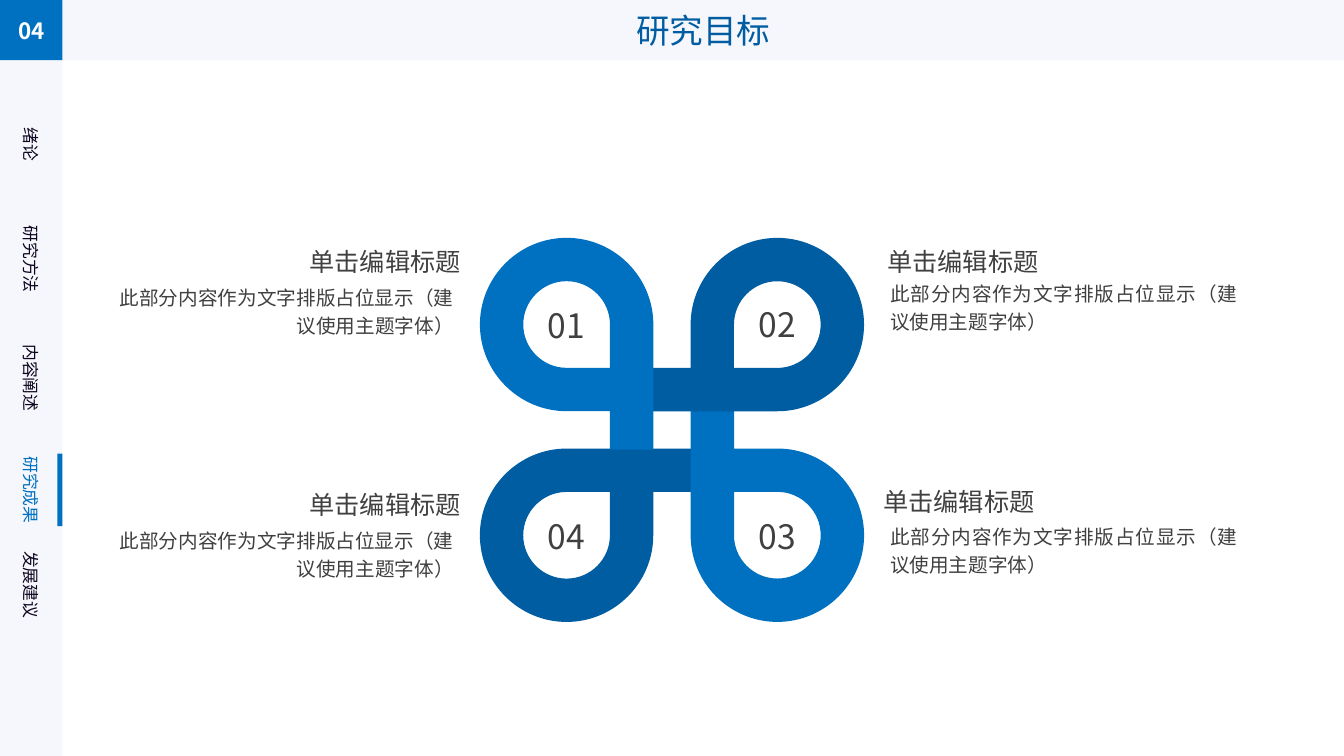
import pptx
import pptx.util
import pptx.dml.color
import pptx.enum.shapes
import pptx.enum.text
import pptx.oxml.ns
import lxml.etree

Inches = pptx.util.Inches
RGBColor = pptx.dml.color.RGBColor
Align = pptx.enum.text.PP_ALIGN
Anchor = pptx.enum.text.MSO_ANCHOR
Fit = pptx.enum.text.MSO_AUTO_SIZE
qn = pptx.oxml.ns.qn

BLUE = RGBColor(0x00, 0x70, 0xC0)
NAVY = RGBColor(0x00, 0x5D, 0xA2)
PALE = RGBColor(0xF6, 0xF7, 0xFC)
WHITE = RGBColor(0xFF, 0xFF, 0xFF)
INK = RGBColor(0x0E, 0x05, 0x20)
GREY = RGBColor(0x40, 0x40, 0x40)
SANS = "Noto Sans CJK SC"
BOLD = "Noto Sans CJK JP"

OUTER, INNER, TAIL = 0.86, 0.43, 1.24
SHIFT = (TAIL - OUTER) / 2
BEND = 0.55
HEAD = "单击编辑标题"
BODY = "此部分内容作为文字排版占位显示（建议使用主题字体）"
MENU = [("绪论", 1.43), ("研究方法", 2.57), ("内容阐述", 3.75),
        ("研究成果", 4.86), ("发展建议", 5.8)]
ACTIVE = "研究成果"
LABELS = [("01", 5.15, 2.98), ("02", 7.24, 2.97),
          ("03", 7.24, 5.07), ("04", 5.15, 5.07)]
LOOPS = [(5.62, 5.31, 1, 270, NAVY), (7.71, 5.31, -1, 0, BLUE),
         (7.71, 3.22, -1, 270, NAVY), (5.62, 3.22, 1, 0, BLUE)]
NOTES = [(8.8, 2.44, 8.73, 2.7, Align.LEFT, Align.JUSTIFY),
         (2.12, 2.44, 0.96, 2.74, Align.RIGHT, Align.RIGHT),
         (8.76, 4.82, 8.73, 5.11, Align.LEFT, Align.JUSTIFY),
         (2.12, 4.85, 0.96, 5.15, Align.RIGHT, Align.RIGHT)]


def write(shape, text, size, color, align=Align.CENTER, face=SANS):
    """Put one styled paragraph in a shape and return it."""
    frame = shape.text_frame
    frame.word_wrap = True
    para = frame.paragraphs[0]
    para.text = text
    para.alignment = align
    font = para.font
    font.size = pptx.util.Pt(size)
    font.color.rgb = color
    font.name = face
    props = para._p.get_or_add_pPr().find(qn("a:defRPr"))
    lxml.etree.SubElement(props, qn("a:ea")).set("typeface", face)
    return para


def paint(shape, color):
    """Give a shape a plain fill without line or shadow."""
    shape.shadow.inherit = False
    shape.fill.solid()
    shape.fill.fore_color.rgb = color
    shape.line.fill.background()


def add_bar(shapes, box, color):
    """Add a filled rectangle."""
    kind = pptx.enum.shapes.MSO_SHAPE.RECTANGLE
    bar = shapes.add_shape(kind, *map(Inches, box))
    paint(bar, color)
    bar.text_frame.vertical_anchor = Anchor.MIDDLE
    return bar


def add_box(shapes, *box):
    """Add an empty text box."""
    return shapes.add_textbox(*map(Inches, box))


def add_menu(shapes, text, mid):
    """Add a turned entry of the side menu."""
    width = 0.2 + 0.17 * len(text)
    box = add_box(shapes, 0.31 - width / 2, mid - 0.15, width, 0.3)
    box.rotation = 90
    write(box, text, 12, BLUE if text == ACTIVE else INK)
    box.text_frame.word_wrap = False
    box.text_frame.auto_size = Fit.SHAPE_TO_FIT_TEXT


def arc(r):
    """List the curve points from right over the top to the bottom."""
    k = r * BEND
    return [(r, 0), (r, -k), (k, -r), (0, -r), (-k, -r), (-r, -k),
            (-r, 0), (-r, k), (-k, r), (0, r)]


def curve(shape, starts):
    """Turn three lines from each start into one curve."""
    lines = list(shape._element.iter(qn("a:lnTo")))
    for start in starts:
        bend = lxml.etree.Element(qn("a:cubicBezTo"))
        lines[start].addprevious(bend)
        for line in lines[start:start + 3]:
            bend.append(line[0])
            line.getparent().remove(line)


def add_loop(shapes, left, top, sign, angle, color):
    """Add a loop with two tails around its centre."""
    points = arc(OUTER) + [(INNER, OUTER), (INNER, INNER)]
    points += arc(INNER)[::-1] + [(INNER, TAIL), (OUTER, TAIL)]
    if angle:
        left, top = left + sign * SHIFT, top - sign * SHIFT
    points = [(Inches(left + sign * x), Inches(top + sign * y))
              for x, y in points]
    pen = shapes.build_freeform(*points[0], scale=1.0)
    pen.add_line_segments(points[1:], close=True)
    loop = pen.convert_to_shape()
    curve(loop, (0, 3, 6, 12, 15, 18))
    loop.rotation = angle
    paint(loop, color)


def add_label(shapes, text, left, top):
    """Add the number in the middle of a loop."""
    box = add_box(shapes, left, top, 0.94, 0.5)
    box.text_frame.vertical_anchor = Anchor.MIDDLE
    write(box, text, 24, GREY)


def add_knot(shapes):
    """Add the four woven loops with their numbers."""
    for loop in LOOPS[:3]:
        add_loop(shapes, *loop)
    for label in LABELS:
        add_label(shapes, *label)
    add_loop(shapes, *LOOPS[3])


def add_note(shapes, left, top, start, under, side, flow):
    """Add a heading and its body text."""
    body = add_box(shapes, start, under, 3.64, 0.64)
    write(body, BODY, 14, GREY, flow).line_spacing = 1.2
    body.text_frame.auto_size = Fit.SHAPE_TO_FIT_TEXT
    head = add_box(shapes, left, top, 2.45, 0.4)
    frame = head.text_frame
    frame.margin_left = frame.margin_right = 0
    frame.margin_top = frame.margin_bottom = 0
    write(head, HEAD, 18, GREY, side)


def main():
    """Build the slide and save it."""
    deck = pptx.Presentation()
    deck.slide_width, deck.slide_height = Inches(13.33), Inches(7.5)
    shapes = deck.slides.add_slide(deck.slide_layouts[6]).shapes
    write(add_bar(shapes, (0.62, 0, 12.71, 0.6), PALE), "研究目标", 24, NAVY)
    badge = add_bar(shapes, (0, 0, 0.62, 0.6), BLUE)
    write(badge, "04", 16, WHITE, face=BOLD).font.bold = True
    add_bar(shapes, (0, 0.6, 0.62, 6.9), PALE)
    for text, mid in MENU:
        add_menu(shapes, text, mid)
    add_bar(shapes, (0.57, 4.5, 0.05, 0.72), BLUE)
    add_knot(shapes.add_group_shape().shapes)
    for note in NOTES:
        add_note(shapes.add_group_shape().shapes, *note)
    deck.save("out.pptx")


if __name__ == "__main__":
    main()
